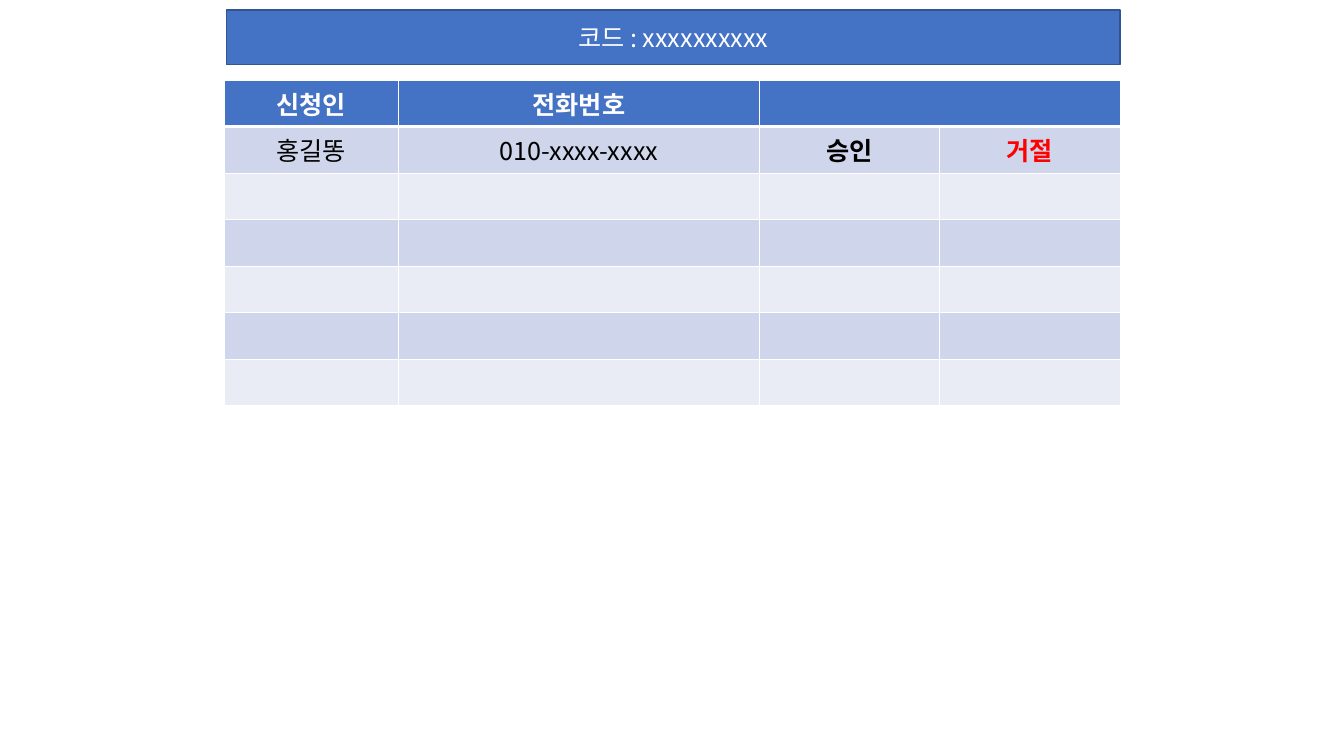
"""Build the slide listing applicants with their approval choices."""
from dataclasses import dataclass

from lxml import etree
from pptx import Presentation
from pptx import util as u
from pptx.dml import color
from pptx.enum import text
from pptx.oxml import ns

FONT = "Noto Sans CJK KR"
SIZE = 18
WHITE, BLACK, RED, BLUE, NAVY = "FFFFFF", "000000", "FF0000", "4472C4", "325491"
BANDS = ("E9EBF5", "CFD5EA")
COLUMN_WIDTHS = (124.5, 257.75, 128.9, 128.9)
ROW_COUNT = 7
ROW_HEIGHT = 29.2


@dataclass(frozen=True)
class Entry:
    row: int
    column: int
    content: str
    colour: str = BLACK
    bold: bool = False


ENTRIES = (
    Entry(0, 0, "신청인", WHITE, True),
    Entry(0, 1, "전화번호", WHITE, True),
    Entry(1, 0, "홍길똥"),
    Entry(1, 1, "010-xxxx-xxxx"),
    Entry(1, 2, "승인", BLACK, True),
    Entry(1, 3, "거절", RED, True),
)


def paint(target, colour: str) -> None:
    target.solid()
    target.fore_color.rgb = color.RGBColor.from_string(colour)


def set_typefaces(properties) -> None:
    for tag in ("a:latin", "a:ea"):
        for old in properties.findall(ns.qn(tag)):
            properties.remove(old)
        etree.SubElement(properties, ns.qn(tag), typeface=FONT)


def write(frame, content: str, *, colour: str, bold: bool = False) -> None:
    paragraph = frame.paragraphs[0]
    paragraph.alignment = text.PP_ALIGN.CENTER
    run = paragraph.add_run()
    run.text = content
    run.font.size = u.Pt(SIZE)
    run.font.bold = bold
    paint(run.font.fill, colour)
    set_typefaces(run.font._element)


def format_empty(frame) -> None:
    paragraph = frame.paragraphs[0]
    paragraph.alignment = text.PP_ALIGN.CENTER
    ending = etree.SubElement(paragraph._p, ns.qn("a:endParaRPr"), sz=str(SIZE * 100))
    set_typefaces(ending)


def add_borders(cell, top: float, bottom: float) -> None:
    properties = cell._tc.get_or_add_tcPr()
    for side, width in (("L", 1), ("R", 1), ("T", top), ("B", bottom)):
        line = etree.SubElement(properties, ns.qn(f"a:ln{side}"), w=str(u.Pt(width)))
        fill = etree.SubElement(line, ns.qn("a:solidFill"))
        etree.SubElement(fill, ns.qn("a:srgbClr"), val=WHITE)


def add_code_bar(slide) -> None:
    bar = slide.shapes.title
    bar.left, bar.top, bar.width, bar.height = map(u.Pt, (162, 7.2, 637.9, 38.9))
    paint(bar.fill, BLUE)
    paint(bar.line.fill, NAVY)
    bar.line.width = u.Pt(1)
    bar.text_frame.vertical_anchor = text.MSO_ANCHOR.MIDDLE
    write(bar.text_frame, "코드 : xxxxxxxxxx", colour=WHITE)


def add_applicant_table(slide) -> None:
    table = slide.shapes.add_table(
        ROW_COUNT, len(COLUMN_WIDTHS), u.Pt(160.1), u.Pt(57.1),
        u.Pt(sum(COLUMN_WIDTHS)), u.Pt(ROW_COUNT * ROW_HEIGHT),
    ).table
    for column, width in zip(table.columns, COLUMN_WIDTHS):
        column.width = u.Pt(width)
    table.cell(0, 2).merge(table.cell(0, 3))
    entries = {(entry.row, entry.column): entry for entry in ENTRIES}
    for row_index, row in enumerate(table.rows):
        row.height = u.Pt(ROW_HEIGHT)
        for column_index, cell in enumerate(row.cells):
            add_borders(cell, 3 if row_index == 1 else 1, 3 if row_index == 0 else 1)
            paint(cell.fill, BANDS[row_index % 2] if row_index else BLUE)
            entry = entries.get((row_index, column_index))
            if entry:
                write(cell.text_frame, entry.content, colour=entry.colour, bold=entry.bold)
            else:
                format_empty(cell.text_frame)


def main() -> None:
    presentation = Presentation()
    presentation.slide_width, presentation.slide_height = u.Pt(960), u.Pt(540)
    slide = presentation.slides.add_slide(presentation.slide_layouts[5])
    add_applicant_table(slide)
    add_code_bar(slide)
    presentation.save("out.pptx")


if __name__ == "__main__":
    main()
